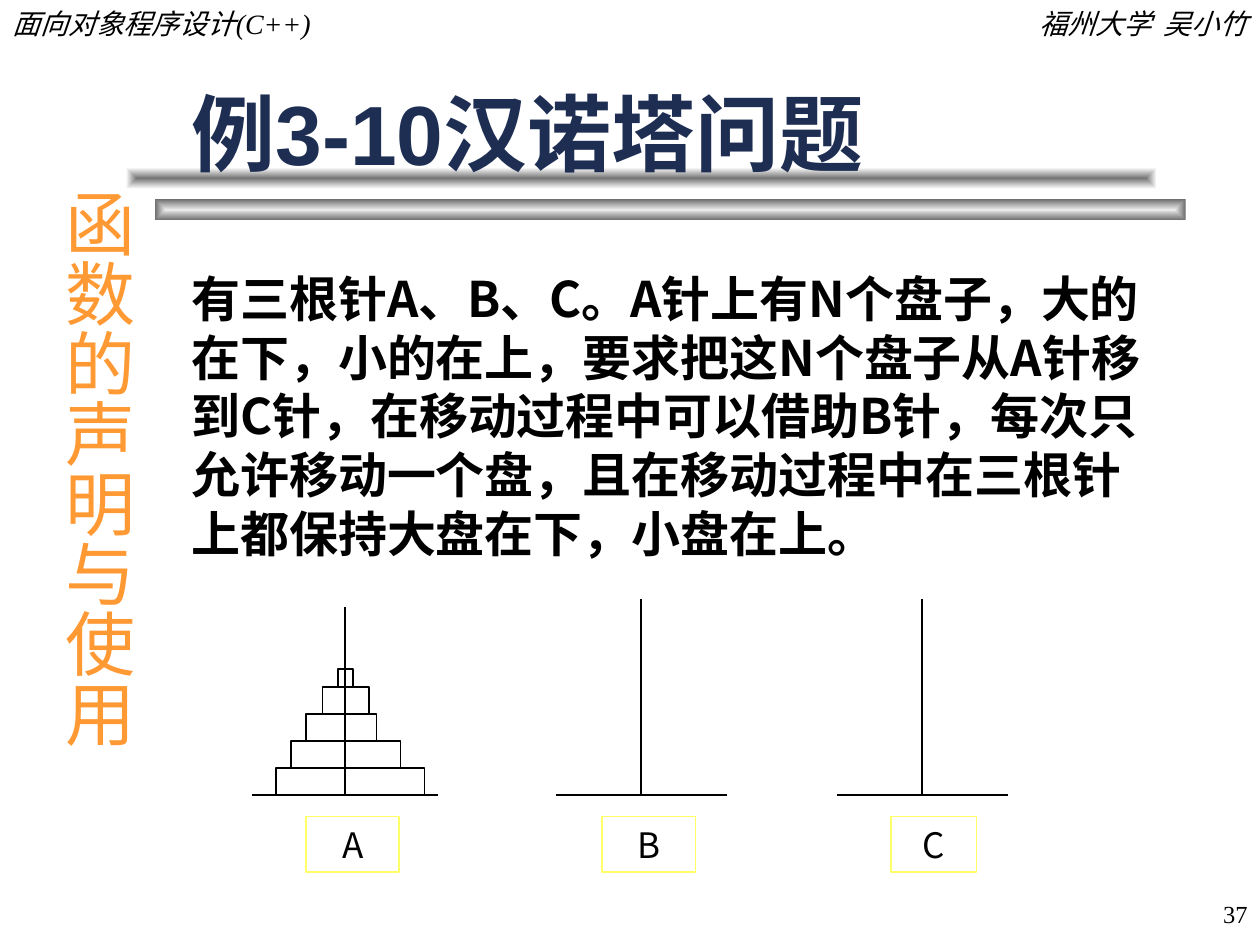
from lxml.etree import SubElement
from pptx import Presentation
from pptx.dml.color import RGBColor
from pptx.enum.shapes import MSO_CONNECTOR, MSO_SHAPE
from pptx.enum.text import MSO_ANCHOR as Anchor, PP_ALIGN as Align
from pptx.oxml.ns import qn
from pptx.util import Inches, Pt

# Content
TITLE = "例3-10汉诺塔问题"
BODY = ("有三根针A、B、C。A针上有N个盘子，大的在下，小的在上，要求把这N个盘子从A针移到C针，"
        "在移动过程中可以借助B针，每次只允许移动一个盘，且在移动过程中在三根针上都保持大盘在下，"
        "小盘在上。")
COURSE, AUTHOR = "面向对象程序设计(C++)", "福州大学  吴小竹"
CHAPTER, PAGE = "函数的声明与使用", "37"

COLORS = {"ink": "000000", "title": "1E2E53", "chapter": "FF9933", "label": "FFFF66"}
SERIF, SANS, CJK = "Times New Roman", "Arial", "Noto Sans CJK SC"

# Title bars: left, top, centre colour, edge colour
BARS = [(1.23, 1.58, "EAEAEA", "6C6C6C"), (1.0, 1.33, "767676", "FFFFFF")]
BAR_SIZE = (8.18, 0.17)

# Pegs: name, base left, base right, peg top, label width
PEGS = [("A", 2.0, 3.48, 4.82, 0.74),
        ("B", 4.41, 5.77, 4.75, 0.74),
        ("C", 6.64, 8.0, 4.75, 0.68)]
BASE_Y, LABEL_TOP, LABEL_HEIGHT = 6.31, 6.48, 0.44

# Disks from the bottom up: left, width; the top disk is lower than the rest
DISKS = [(2.19, 1.18), (2.31, 0.87), (2.43, 0.56), (2.56, 0.37), (2.68, 0.12)]
TOP_DISK_FLOOR, TOP_DISK_HEIGHT = 5.45, 0.14


def color(name):
    return RGBColor.from_string(COLORS.get(name, name))


def write(shape, text, size, font=SERIF, ink="ink", align=Align.LEFT,
          anchor=Anchor.TOP, wrap=True, **style):
    frame = shape.text_frame
    frame.word_wrap, frame.vertical_anchor = wrap, anchor
    paragraph = frame.paragraphs[0]
    paragraph.alignment = align
    paragraph.space_before = Pt(0)
    run = paragraph.add_run()
    run.text = text
    for name, value in {"name": font, "size": Pt(size), **style}.items():
        setattr(run.font, name, value)
    run.font.color.rgb = color(ink)
    SubElement(run.font._element, qn("a:ea"), typeface=CJK)
    return frame


def add_text(slide, box, text, size, **style):
    return write(slide.shapes.add_textbox(*map(Inches, box)), text, size, **style)


def add_box(slide, box, line=None):
    shape = slide.shapes.add_shape(MSO_SHAPE.RECTANGLE, *map(Inches, box))
    shape.shadow.inherit = False
    shape.fill.background()
    if line:
        shape.line.color.rgb = color(line)
        shape.line.width = Pt(1)
    else:
        shape.line.fill.background()
    return shape


def add_line(slide, start, end):
    line = slide.shapes.add_connector(MSO_CONNECTOR.STRAIGHT,
                                      *map(Inches, (*start, *end)))
    line.line.color.rgb = color("ink")
    line.line.width = Pt(1)
    SubElement(line._element.spPr, qn("a:effectLst"))


def add_bar(slide, left, top, centre, edge):
    fill = add_box(slide, (left, top, *BAR_SIZE)).fill
    fill.gradient()
    for stop, value in zip(fill.gradient_stops, (centre, edge)):
        stop.color.rgb = color(value)
    for position, stop in enumerate(fill.gradient_stops):
        stop.position = position
    # Replace the linear direction with a rectangular one from the centre
    gradient = fill._fill._gradFill
    gradient.remove(gradient.find(qn("a:lin")))
    rectangle = SubElement(gradient, qn("a:path"), path="rect")
    SubElement(rectangle, qn("a:fillToRect"), l="50000", t="50000", r="50000", b="50000")


def add_towers(slide):
    for name, left, right, top, width in PEGS:
        middle = (left + right) / 2
        add_line(slide, (left, BASE_Y), (right, BASE_Y))
        add_line(slide, (middle, BASE_Y), (middle, top))
        centre = middle + (0.06 if name != "C" else 0.09)
        label = add_box(slide, (centre - width / 2, LABEL_TOP, width, LABEL_HEIGHT), "label")
        write(label, name, 20, font=CJK, align=Align.CENTER, anchor=Anchor.MIDDLE)

    step = (BASE_Y - TOP_DISK_FLOOR) / (len(DISKS) - 1)
    for row, (left, width) in enumerate(DISKS):
        height = TOP_DISK_HEIGHT if row == len(DISKS) - 1 else step
        add_box(slide, (left, BASE_Y - row * step - height, width, height), "ink")


def main():
    presentation = Presentation()
    presentation.slide_width, presentation.slide_height = Inches(10), Inches(7.5)
    slide = presentation.slides.add_slide(presentation.slide_layouts[5])

    # Bars, behind the title
    for bar in BARS:
        add_bar(slide, *bar)
    title = slide.shapes.title
    title.left, title.top, title.width, title.height = map(Inches, (1.42, 0.25, 7.83, 1.25))
    slide.shapes._spTree.append(title._element)
    write(title, TITLE, 48, font=SANS, ink="title", anchor=Anchor.BOTTOM, bold=True)

    # Header and page number
    add_text(slide, (0, 0, 3.08, 0.37), COURSE, 16, italic=True)
    add_text(slide, (6.92, 0, 3.08, 0.37), AUTHOR, 16, italic=True, align=Align.RIGHT)
    add_text(slide, (7.92, 7, 2.08, 0.5), PAGE, 14, align=Align.RIGHT, anchor=Anchor.MIDDLE)

    # Body and vertical chapter name
    add_text(slide, (1.42, 2.08, 7.92, 4.5), BODY, 28, font=CJK, bold=True)
    chapter = add_text(slide, (0.3, 1.4, 0.86, 4.65), CHAPTER, 40, ink="chapter")
    chapter.margin_left = chapter.margin_right = Inches(0.05)
    chapter.margin_top = chapter.margin_bottom = Inches(0.1)
    chapter._txBody.bodyPr.set("vert", "eaVert")

    add_towers(slide)
    presentation.save("out.pptx")


if __name__ == "__main__":
    main()
